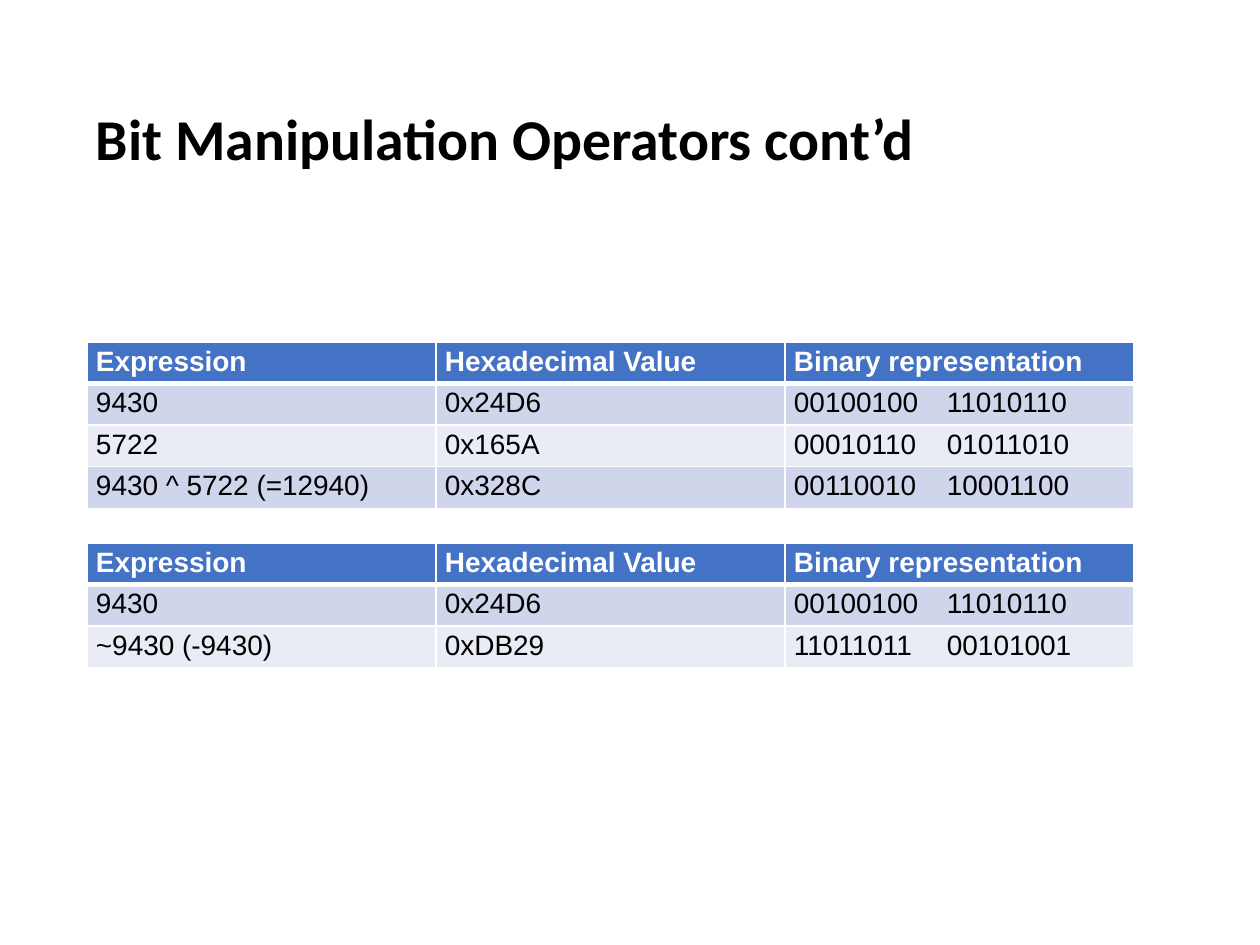
from dataclasses import dataclass

from lxml.etree import SubElement
from pptx import Presentation
from pptx.dml.color import RGBColor as RGB
from pptx.enum.text import MSO_ANCHOR as Anchor
from pptx.oxml.ns import qn
from pptx.util import Emu, Pt

PX_PER_INCH = 126


def px(n):
    return Emu(round(n * 914400 / PX_PER_INCH))


@dataclass(frozen=True)
class Theme:
    title_font: str = "Calibri"
    body_font: str = "Arial"
    title_size: int = 33
    body_size: int = 16
    text: str = "000000"
    header_text: str = "FFFFFF"
    header_fill: str = "4472C4"
    bands: tuple = ("CFD5EA", "E9EBF5")
    border: str = "FFFFFF"
    thin: int = 1
    thick: int = 3


THEME = Theme()

HEADER = ("Expression", "Hexadecimal Value", "Binary representation")
XOR_ROWS = [
    ("9430", "0x24D6", "00100100\t11010110"),
    ("5722", "0x165A", "00010110\t01011010"),
    ("9430 ^ 5722 (=12940)", "0x328C", "00110010\t10001100"),
]
COMPLEMENT_ROWS = [
    ("9430", "0x24D6", "00100100\t11010110"),
    ("~9430 (-9430)", "0xDB29", "11011011\t00101001"),
]
ROW_H = 40
BYTE_TAB = 153


def add_run(p, text, font, size, color, bold):
    r = p.add_run()
    r.text = text
    r.font.name, r.font.size, r.font.bold = font, Pt(size), bold
    r.font.color.rgb = RGB.from_string(color)


def add_title(s, text, x, y, w, h):
    tf = s.shapes.add_textbox(px(x), px(y), px(w), px(h)).text_frame
    tf.word_wrap = True
    tf.vertical_anchor = Anchor.MIDDLE
    tf.margin_left = tf.margin_right = px(9)
    p = tf.paragraphs[0]
    p.line_spacing = 0.9
    add_run(p, text, THEME.title_font, THEME.title_size, THEME.text, True)


def set_borders(cell, top, bottom):
    tc_pr = cell._tc.get_or_add_tcPr()
    widths = {"L": THEME.thin, "R": THEME.thin, "T": top, "B": bottom}
    for side, width in widths.items():
        ln = SubElement(tc_pr, qn(f"a:ln{side}"), w=str(Pt(width)))
        fill = SubElement(ln, qn("a:solidFill"))
        SubElement(fill, qn("a:srgbClr"), val=THEME.border)


def add_byte_tab(p):
    """Line up the second byte of a binary value on a tab stop."""
    tabs = SubElement(p._p.get_or_add_pPr(), qn("a:tabLst"))
    SubElement(tabs, qn("a:tab"), pos=str(px(BYTE_TAB)), algn="l")


def fill_cell(cell, text, row):
    is_header = row == 0
    # Thick rule between the header and the first data row
    set_borders(cell, THEME.thick if row == 1 else THEME.thin,
                THEME.thick if is_header else THEME.thin)
    cell.fill.solid()
    cell.fill.fore_color.rgb = RGB.from_string(
        THEME.header_fill if is_header else THEME.bands[(row - 1) % 2])
    cell.margin_left = cell.margin_right = px(9)
    cell.margin_top = cell.margin_bottom = px(4)
    p = cell.text_frame.paragraphs[0]
    if "\t" in text:
        add_byte_tab(p)
    add_run(p, text, THEME.body_font, THEME.body_size,
            THEME.header_text if is_header else THEME.text, is_header)


def add_value_table(s, data, x, y, w):
    rows = [HEADER, *data]
    table = s.shapes.add_table(len(rows), len(HEADER), px(x), px(y),
                               px(w), px(ROW_H * len(rows))).table
    for column in table.columns:
        column.width = px(w / len(HEADER))
    for i, values in enumerate(rows):
        table.rows[i].height = px(ROW_H)
        for j, text in enumerate(values):
            fill_cell(table.cell(i, j), text, i)


def main():
    prs = Presentation()
    prs.slide_width, prs.slide_height = px(1260), px(945)
    s = prs.slides.add_slide(prs.slide_layouts[6])

    # Title
    add_title(s, "Bit Manipulation Operators cont’d", 87, 50, 1086, 183)

    # Exclusive or, then complement
    add_value_table(s, XOR_ROWS, 87, 342, 1047)
    add_value_table(s, COMPLEMENT_ROWS, 87, 543, 1047)

    prs.save("out.pptx")


if __name__ == "__main__":
    main()
